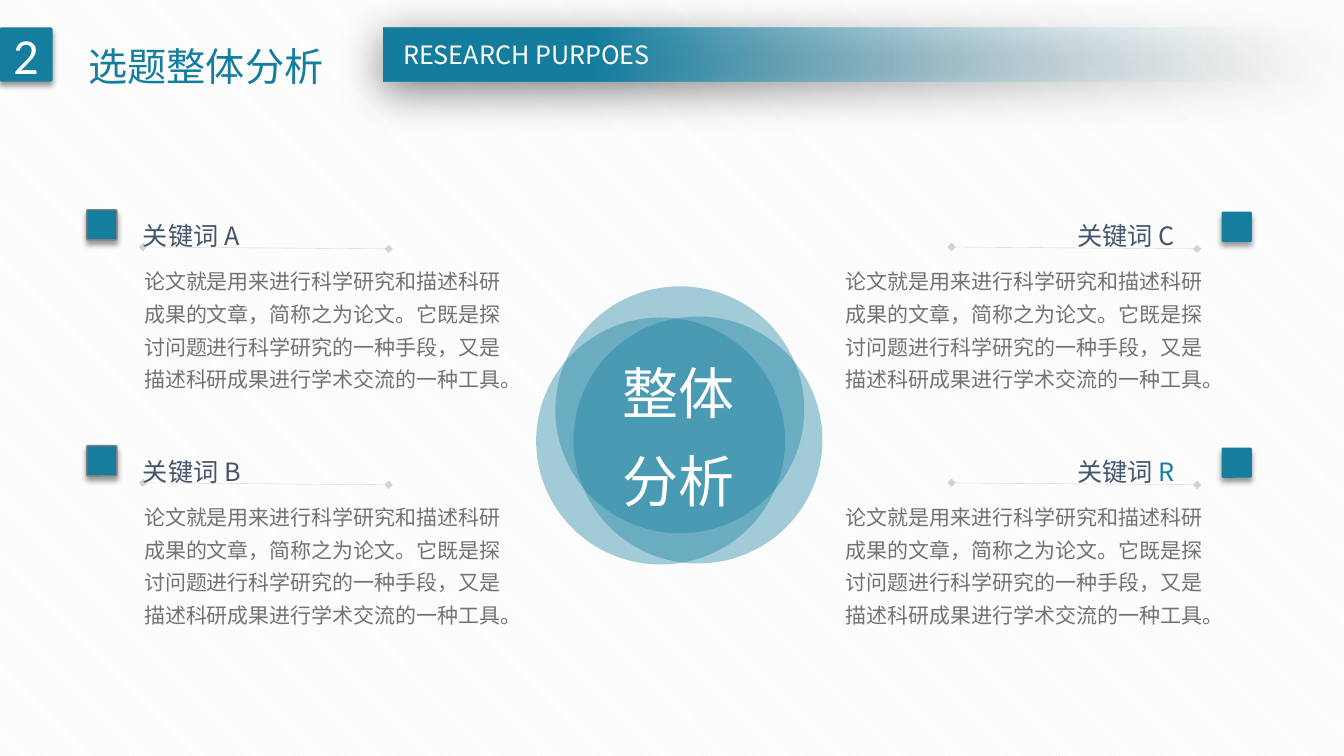
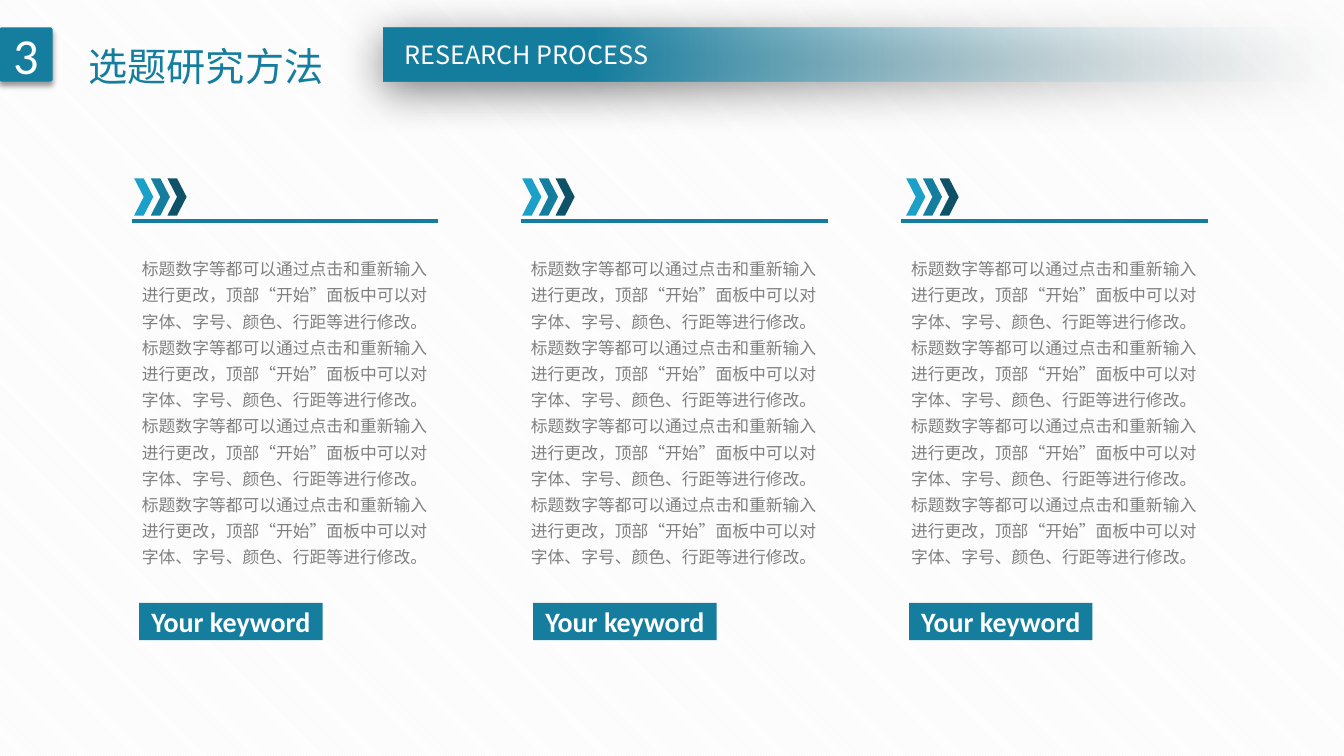
from dataclasses import dataclass

from lxml import etree
from pptx import Presentation
from pptx import util as u
from pptx.dml.color import RGBColor
from pptx.enum import dml, shapes, text
from pptx.oxml.ns import qn

Pt = u.Pt
Kind = shapes.MSO_SHAPE
Align = text.PP_ALIGN
Anchor = text.MSO_ANCHOR


@dataclass(frozen=True)
class Theme:
    teal: str = "157E9F"
    bright: str = "1BA0C9"
    deep: str = "0D5267"
    white: str = "FFFFFF"
    stripe: str = "F2F2F2"
    fade: str = "F7FAFD"
    slate: str = "44546A"
    body: str = "767171"
    grey: str = "808080"
    outline: str = "7F7F7F"
    cjk: str = "Noto Sans CJK SC"
    latin: str = "Calibri"
    hero_size: int = 40
    number_size: int = 36
    title_size: int = 28
    button_size: int = 20
    label_size: int = 18
    body_size: int = 15
    small_size: int = 12
    # Shadows: opacity %, blur, distance, direction in degrees
    band_shadow: tuple = (50, 31, 6, 97)
    tile_shadow: tuple = (40, 4, 3, 90)


theme = Theme()
rgb = RGBColor.from_string


def write(shape, pieces, size, color, font=theme.cjk, align=Align.LEFT,
          anchor=Anchor.TOP, spacing=1.0):
    """Fill a shape with one paragraph, one run per piece."""
    frame = shape.text_frame
    frame.word_wrap = True
    frame.auto_size = text.MSO_AUTO_SIZE.NONE
    frame.vertical_anchor = anchor
    paragraph = frame.paragraphs[0]
    paragraph.text = pieces[0]
    for piece in pieces[1:]:
        paragraph.add_run().text = piece
    paragraph.alignment = align
    paragraph.line_spacing = spacing
    for run in paragraph.runs:
        run.font.size = Pt(size)
        run.font.name = font
        run.font.color.rgb = rgb(color)
        etree.SubElement(run.font._element, qn("a:ea"), typeface=font)
    return paragraph


def block(slide, kind, left, top, width, height, color, opacity=100, shadow=None):
    """Add a filled shape without outline, optionally see-through or shadowed."""
    shape = slide.shapes.add_shape(kind, Pt(left), Pt(top), Pt(width), Pt(height))
    shape.fill.solid()
    shape.fill.fore_color.rgb = rgb(color)
    shape.line.fill.background()
    shape.shadow.inherit = False
    if kind == Kind.ROUNDED_RECTANGLE:
        shape.adjustments[0] = 0.05
    properties = shape._element.spPr
    if opacity < 100:
        etree.SubElement(properties.find(".//" + qn("a:srgbClr")), qn("a:alpha"),
                         val=str(opacity * 1000))
    if shadow:
        strength, blur, distance, direction = shadow
        outer = etree.SubElement(
            properties.find(qn("a:effectLst")), qn("a:outerShdw"),
            blurRad=str(Pt(blur)), dist=str(Pt(distance)),
            dir=str(direction * 60000), algn="ctr", rotWithShape="0")
        tint = etree.SubElement(outer, qn("a:srgbClr"), val="000000")
        etree.SubElement(tint, qn("a:alpha"), val=str(strength * 1000))
    return shape


prs = Presentation()
prs.slide_width, prs.slide_height = Pt(960), Pt(540)

# Striped background for every slide
backdrop = prs.slide_master.background.fill
backdrop.patterned()
backdrop.pattern = dml.MSO_PATTERN.DARK_DOWNWARD_DIAGONAL
backdrop.fore_color.rgb = rgb(theme.stripe)
backdrop.back_color.rgb = rgb(theme.white)

# Header: fading band, section number, title and English label
sections = [("2", "选题整体分析", "RESEARCH PURPOES"),
            ("3", "选题研究方法", "RESEARCH PROCESS")]
slides = []
for number, heading, english in sections:
    slide = prs.slides.add_slide(prs.slide_layouts[5])
    slides.append(slide)

    band = block(slide, Kind.RECTANGLE, 273.6, 19.8, 686.4, 38.5, theme.teal,
                 shadow=theme.band_shadow)
    band.fill.gradient()
    band.fill.gradient_angle = 180
    clear, full = band.fill.gradient_stops
    clear.position, clear.color.rgb = 0, rgb(theme.fade)
    full.position, full.color.rgb = 0.78, rgb(theme.teal)
    etree.SubElement(band._element.spPr.find(".//" + qn("a:srgbClr")),
                     qn("a:alpha"), val="0")

    tile = block(slide, Kind.ROUNDED_RECTANGLE, -0.5, 19.5, 38.2, 38.8, theme.teal,
                 shadow=theme.tile_shadow)
    write(tile, [number], theme.number_size, theme.white, theme.latin,
          Align.CENTER, Anchor.MIDDLE)

    title = slide.shapes.title
    title.left, title.top, title.width, title.height = Pt(56), Pt(10), Pt(200), Pt(58.5)
    write(title, [heading], theme.title_size, theme.teal, spacing=1.5)

    label = slide.shapes.add_textbox(Pt(274), Pt(24.5), Pt(204), Pt(29))
    write(label, [english], theme.label_size, theme.white, align=Align.CENTER)

analysis, methods = slides

# Overall analysis: three overlapping circles
for left, top in [(383, 226.8), (396.7, 204.5), (409.7, 226.1)]:
    block(analysis, Kind.OVAL, left, top, 177.8, 176.4, theme.teal, opacity=39)
hub = analysis.shapes.add_textbox(Pt(424.8), Pt(238.3), Pt(120.2), Pt(133.2))
write(hub, ["整体分析"], theme.hero_size, theme.white, align=Align.CENTER, spacing=1.3)

# Overall analysis: four keywords, two on each side
explanation = ("论文就是用来进行科学研究和描述科研成果的文章，简称之为论文。"
               "它既是探讨问题进行科学研究的一种手段，"
               "又是描述科研成果进行学术交流的一种工具。")
row_pitch = 168.5
# letters, marker left and top, keyword left, rule left, explanation left, outlined
sides = [("AB", 61.9, 149.8, 95, 102.2, 95.8, True),
         ("CR", 872.6, 151.2, 762.4, 679.7, 596.9, False)]
for letters, marker_x, marker_y, keyword_x, rule_x, body_x, outlined in sides:
    for row, letter in enumerate(letters):
        drop = row * row_pitch
        marker = block(analysis, Kind.ROUNDED_RECTANGLE, marker_x, marker_y + drop,
                       21.6, 21.6, theme.teal, shadow=theme.tile_shadow)
        if outlined:
            marker.line.color.rgb = rgb(theme.outline)
            marker.line.width = Pt(1)

        keyword = analysis.shapes.add_textbox(Pt(keyword_x), Pt(147.6 + drop),
                                              Pt(100), Pt(36))
        words = write(keyword, ["关键词 ", letter], theme.label_size, theme.slate,
                      spacing=1.3)
        if letter == "R":
            words.runs[-1].font.color.rgb = rgb(theme.teal)

        rule = analysis.shapes.add_connector(
            shapes.MSO_CONNECTOR.STRAIGHT, Pt(rule_x), Pt(176.4 + drop),
            Pt(rule_x + 175.4), Pt(177.8 + drop))
        rule.line.color.rgb = rgb(theme.grey)
        rule.line.width = Pt(0.25)
        stroke = rule._element.spPr.find(qn("a:ln"))
        etree.SubElement(stroke.find(".//" + qn("a:srgbClr")), qn("a:alpha"), val="33000")
        for end in ("a:headEnd", "a:tailEnd"):
            etree.SubElement(stroke, qn(end), type="diamond")
        etree.SubElement(rule._element.spPr, qn("a:effectLst"))

        body = analysis.shapes.add_textbox(Pt(body_x), Pt(182.9 + drop),
                                           Pt(277.9), Pt(101.5))
        write(body, [explanation], theme.body_size, theme.body, spacing=1.3)

# Research methods: three columns with chevrons, rule, text and keyword
advice = ("标题数字等都可以通过点击和重新输入进行更改，"
          "顶部“开始”面板中可以对字体、字号、颜色、行距等进行修改。") * 4
column_width = 218.9
# column left, chevrons left, keyword left
for column_x, chevron_x, button_x in [(94.3, 95.8, 99.4),
                                      (372.2, 373, 380.9),
                                      (643.7, 647.3, 649.4)]:
    divider = methods.shapes.add_connector(
        shapes.MSO_CONNECTOR.STRAIGHT, Pt(column_x), Pt(157.7),
        Pt(column_x + column_width), Pt(157.7))
    divider.line.color.rgb = rgb(theme.teal)
    divider.line.width = Pt(3)
    etree.SubElement(divider._element.spPr, qn("a:effectLst"))

    for step, color in enumerate([theme.bright, theme.teal, theme.deep]):
        block(methods, Kind.CHEVRON, chevron_x + step * 11.9, 127.4, 13.7, 26.6, color)

    method = methods.shapes.add_textbox(Pt(column_x), Pt(177.1), Pt(column_width), Pt(234))
    write(method, [advice], theme.small_size, theme.grey, spacing=1.3)

    button = block(methods, Kind.RECTANGLE, button_x, 430.6, 131, 26.6, theme.teal)
    caption = write(button, ["Your keyword"], theme.button_size, theme.white, theme.latin,
                    Align.CENTER, Anchor.MIDDLE)
    caption.runs[0].font.bold = True

prs.save("out.pptx")
